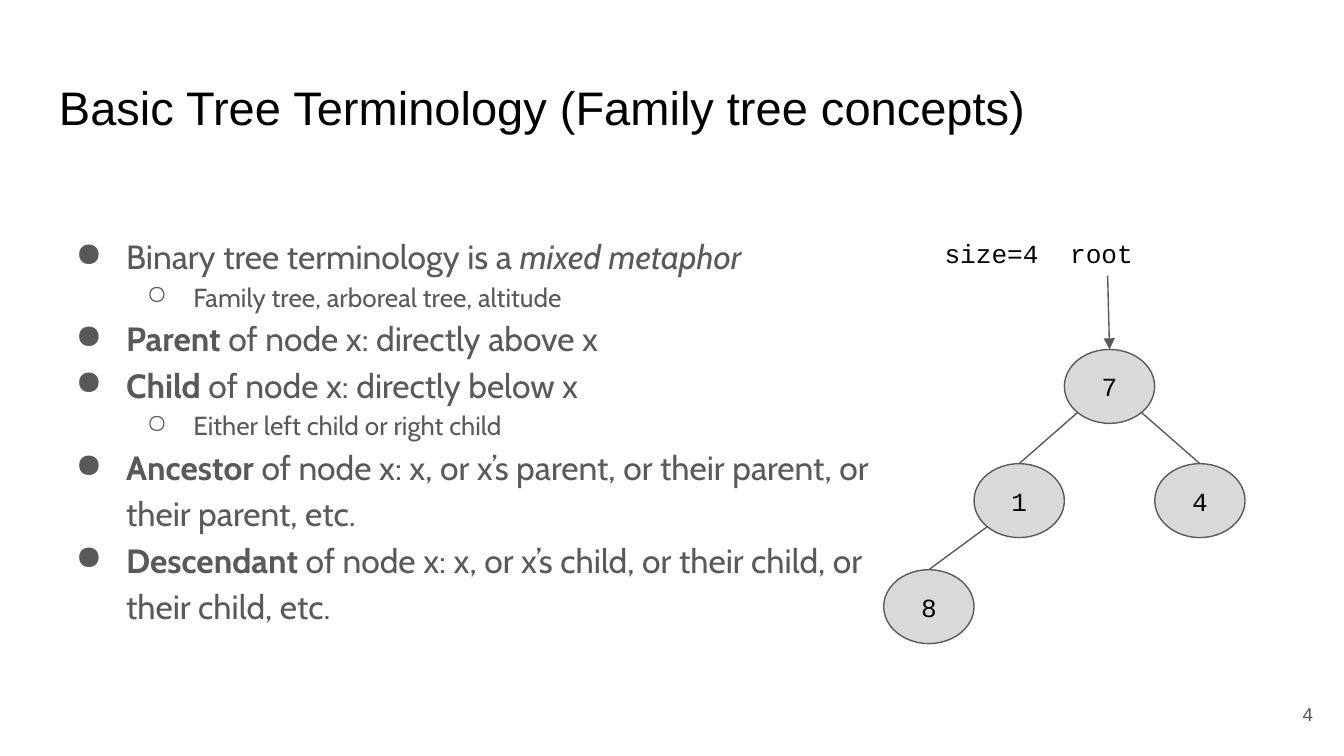
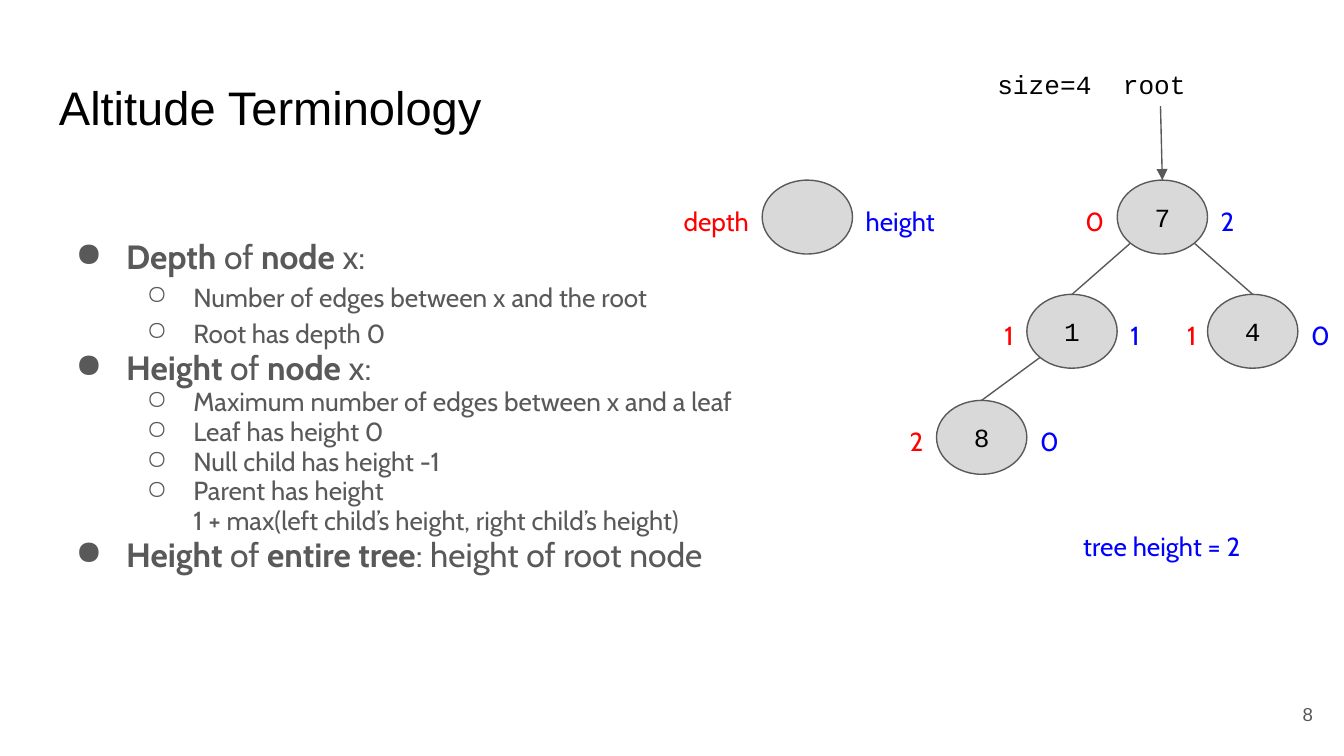
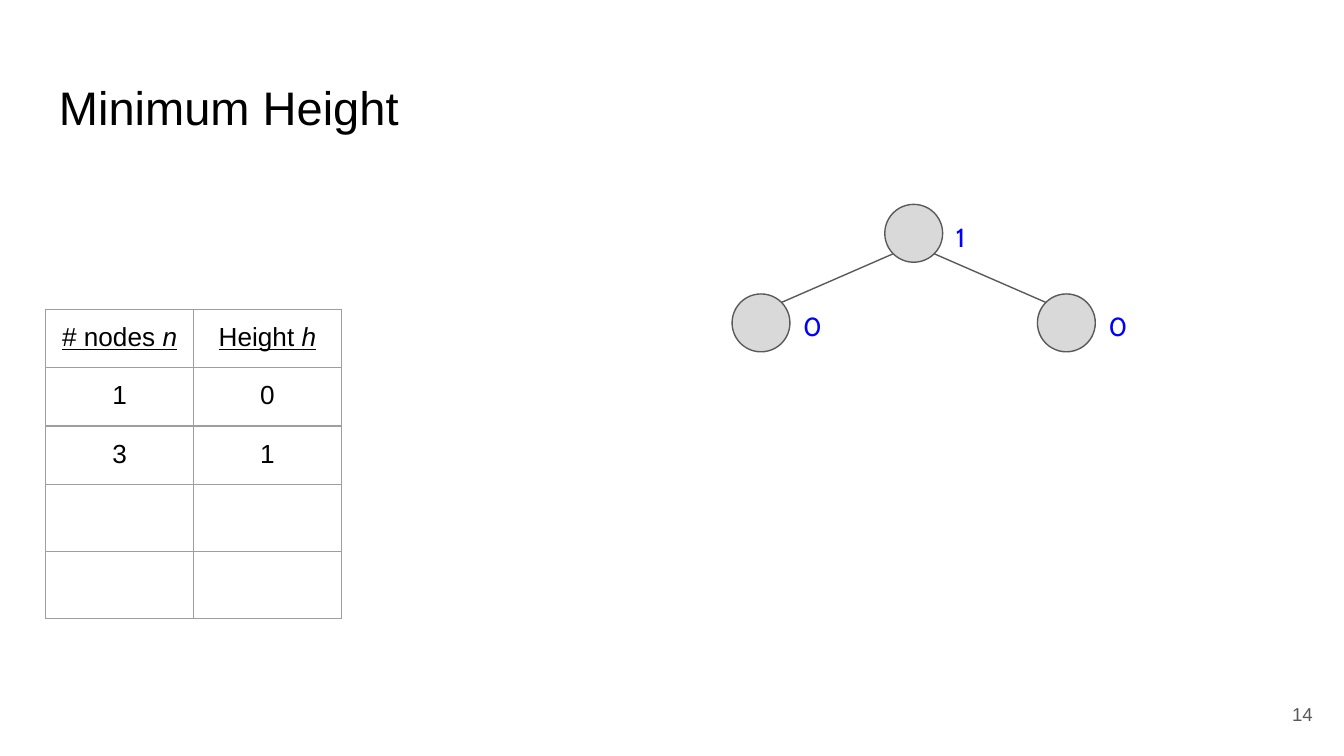
from dataclasses import dataclass
from math import sqrt

from lxml.etree import SubElement
from pptx import Presentation
from pptx.dml.color import RGBColor
from pptx.enum.shapes import MSO_CONNECTOR, MSO_SHAPE
from pptx.enum.text import MSO_ANCHOR, PP_ALIGN
from pptx.oxml import parse_xml
from pptx.oxml.ns import nsdecls, qn
from pptx.util import Pt


@dataclass(frozen=True)
class Theme:
    ink: str = "000000"
    gray: str = "595959"
    node: str = "D9D9D9"
    grid: str = "9E9E9E"
    depth: str = "FF0000"
    height: str = "0000FF"
    plain: str = "Arial"
    prose: str = "Cabin"
    code: str = "Courier New"
    title_size: float = 25.2
    body_size: float = 18
    small_size: float = 14
    number_size: float = 10
    rule: float = 0.75
    inset: float = 7.2


THEME = Theme()

# Content: a bullet is (level, spans); a span is text or (text, style)
FAMILY = [
    (0, ["Binary tree terminology is a ", ("mixed metaphor", "i")]),
    (1, ["Family tree, arboreal tree, altitude"]),
    (0, [("Parent", "b"), " of node x: directly above x"]),
    (0, [("Child", "b"), " of node x: directly below x"]),
    (1, ["Either left child or right child"]),
    (0, [("Ancestor", "b"), " of node x: x, or x’s parent, or their parent, or their parent, etc."]),
    (0, [("Descendant", "b"), " of node x: x, or x’s child, or their child, or their child, etc."]),
]
DEPTH = [
    (0, [("Depth", "b"), " of ", ("node", "b"), " x:"]),
    (1, ["Number of edges between x and the root"]),
    (1, ["Root has depth 0"]),
]
HEIGHT = [
    (0, [("Height", "b"), " of ", ("node", "b"), " x:"]),
    (1, ["Maximum number of edges between x and a leaf"]),
    (1, ["Leaf has height 0"]),
    (1, ["Null child has height -1"]),
    (1, ["Parent has height\n1 + max(left child’s height, right child’s height)"]),
    (0, [("Height", "b"), " of ", ("entire tree", "b"), ": height of root node"]),
]
HEIGHT_TABLE = [
    [["# nodes ", ("n", "i")], ["Height ", ("h", "i")]],
    [["1"], ["0"]],
    [["3"], ["1"]],
    [[], []],
    [[], []],
]

# Trees: node value -> (column, level, parent)
FOUR_NODES = {"7": (0, 0, None), "1": (-1, 1, "7"), "4": (1, 1, "7"), "8": (-2, 2, "1")}
LEVEL_TOPS = [0, 61.2, 118]
COLUMN_STEP = 48.4
NODE_SIZE = (48.4, 39.6)
# Node value -> (depth, depth label width, height, height label width)
ALTITUDES = {"7": ("0", 64.8, "2", 64.8), "1": ("1", 64.8, "1", 23),
             "4": ("1", 18, "0", 24.5), "8": ("2", 64.8, "0", 64.8)}
LABEL_HEIGHT = 27.4


def color(code):
    return RGBColor.from_string(code)


# Text
def write(para, spans, font=THEME.plain, size=THEME.small_size, ink=THEME.ink,
          align=PP_ALIGN.LEFT, underline=False):
    para.alignment = align
    for part in spans:
        text, style = part if isinstance(part, tuple) else (part, "")
        for index, line in enumerate(text.split("\n")):
            if index:
                para.add_line_break()
            span = para.add_run()
            span.text = line
            span.font.name, span.font.size = font, Pt(size)
            span.font.color.rgb = color(ink)
            span.font.bold, span.font.italic = "b" in style, "i" in style
            span.font.underline = underline


def set_frame(frame, anchor):
    frame.word_wrap = True
    frame.vertical_anchor = anchor
    frame.margin_left = frame.margin_right = Pt(THEME.inset)
    frame.margin_top = frame.margin_bottom = Pt(THEME.inset)


def add_text(page, place, spans, anchor=MSO_ANCHOR.TOP, **style):
    box = page.shapes.add_textbox(*map(Pt, place))
    set_frame(box.text_frame, anchor)
    write(box.text_frame.paragraphs[0], spans, **style)
    return box


def add_bullets(page, place, bullets, spacing):
    frame = add_text(page, place, []).text_frame
    for index, (level, spans) in enumerate(bullets):
        para = frame.add_paragraph() if index else frame.paragraphs[0]
        para.level = level
        para.line_spacing = spacing
        props = para._p.get_or_add_pPr()
        props.set("marL", str(Pt(36 * (level + 1))))
        props.set("indent", str(-Pt((27, 25)[level])))
        SubElement(SubElement(props, qn("a:buClr")), qn("a:srgbClr")).set("val", THEME.gray)
        SubElement(props, qn("a:buChar")).set("char", "●○"[level])
        write(para, spans, font=THEME.prose, ink=THEME.gray,
              size=(THEME.body_size, THEME.small_size)[level])


# Tree parts
def add_node(page, place, value=""):
    node = page.shapes.add_shape(MSO_SHAPE.OVAL, *map(Pt, place))
    node.shadow.inherit = False
    node.fill.solid()
    node.fill.fore_color.rgb = color(THEME.node)
    node.line.color.rgb = color(THEME.gray)
    node.line.width = Pt(THEME.rule)
    if value:
        set_frame(node.text_frame, MSO_ANCHOR.MIDDLE)
        write(node.text_frame.paragraphs[0], [value], font=THEME.code, align=PP_ALIGN.CENTER)


def add_edge(page, start, end, arrow=False):
    edge = page.shapes.add_connector(MSO_CONNECTOR.STRAIGHT, *map(Pt, start + end))
    edge.line.color.rgb = color(THEME.gray)
    edge.line.width = Pt(THEME.rule)
    if arrow:
        SubElement(edge.line._get_or_add_ln(), qn("a:tailEnd")).set("type", "triangle")
    SubElement(edge._element.spPr, qn("a:effectLst"))


def diagonal(place, right, down):
    """Point on the ellipse at 45 degrees; right and down are -1 or 1."""
    left, top, width, height = place
    reach = sqrt(0.5)
    return left + width * (1 + right * reach) / 2, top + height * (1 + down * reach) / 2


def add_side_label(page, place, text, width, kind):
    left, top, node_width, node_height = place
    is_depth = kind == "depth"
    label_left = left - width if is_depth else left + node_width
    add_text(page, (label_left, top + (node_height - LABEL_HEIGHT) / 2, width, LABEL_HEIGHT),
             [text], font=THEME.prose, ink=THEME.depth if is_depth else THEME.height,
             align=PP_ALIGN.RIGHT if is_depth else PP_ALIGN.LEFT)


def add_four_node_tree(page, left, top):
    places = {}
    for value, (column, level, parent) in FOUR_NODES.items():
        place = (left + column * COLUMN_STEP, top + LEVEL_TOPS[level], *NODE_SIZE)
        places[value] = place
        add_node(page, place, value)
        if parent:
            side = 1 if column > FOUR_NODES[parent][0] else -1
            add_edge(page, (place[0] + NODE_SIZE[0] / 2, place[1]),
                     diagonal(places[parent], side, 1))
    add_text(page, (left - 73.4, top - 67, 119.5, 34.6), ["size=4  root"],
             font=THEME.code, align=PP_ALIGN.CENTER)
    add_edge(page, (left + 23.2, top - 39.6), (left + NODE_SIZE[0] / 2, top), arrow=True)
    return places


# Table
def add_height_table(page, left, top, column_width, row_height):
    rows, columns = len(HEIGHT_TABLE), len(HEIGHT_TABLE[0])
    table = page.shapes.add_table(rows, columns, Pt(left), Pt(top), Pt(column_width * columns),
                                  Pt(row_height * rows)).table
    table.first_row = table.horz_banding = False
    for row_index, row in enumerate(HEIGHT_TABLE):
        table.rows[row_index].height = Pt(row_height)
        for column_index, spans in enumerate(row):
            cell = table.cell(row_index, column_index)
            cell.margin_left = cell.margin_right = Pt(THEME.inset)
            cell.margin_top = cell.margin_bottom = Pt(THEME.inset)
            cell.fill.background()
            write(cell.text_frame.paragraphs[0], spans, align=PP_ALIGN.CENTER,
                  underline=row_index == 0)
            props = cell._tc.get_or_add_tcPr()
            for index, side in enumerate("LRTB"):
                props.insert(index, parse_xml(
                    f'<a:ln{side} {nsdecls("a")} w="{Pt(THEME.rule)}"><a:solidFill>'
                    f'<a:srgbClr val="{THEME.grid}"/></a:solidFill></a:ln{side}>'))


# Pages
def add_page(deck, title, number):
    page = deck.slides.add_slide(deck.slide_layouts[6])
    add_text(page, (24.5, 35, 671, 45.4), [title], size=THEME.title_size)
    add_text(page, (667.2, 367.2, 43.2, 31), [number], anchor=MSO_ANCHOR.MIDDLE,
             size=THEME.number_size, ink=THEME.gray, align=PP_ALIGN.RIGHT)
    return page


def add_family_page(deck):
    page = add_page(deck, "Basic Tree Terminology (Family tree concepts)", "4")
    add_bullets(page, (24.5, 116, 448.5, 244), FAMILY, 1.15)
    add_four_node_tree(page, 570.2, 187.2)


def add_altitude_page(deck):
    page = add_page(deck, "Altitude Terminology", "8")
    add_bullets(page, (24.5, 116, 375, 81.4), DEPTH, 1.15)
    add_bullets(page, (24.5, 180, 375, 139.7), HEIGHT, 0.95)
    root_top = 96.5
    for value, place in add_four_node_tree(page, 598.5, root_top).items():
        depth, depth_width, height, height_width = ALTITUDES[value]
        add_side_label(page, place, depth, depth_width, "depth")
        add_side_label(page, place, height, height_width, "height")
    # Key
    key = (408.3, root_top, *NODE_SIZE)
    add_node(page, key)
    for kind in ("depth", "height"):
        add_side_label(page, key, kind, 64.8, kind)
    add_text(page, (548, 277.2, 149, LABEL_HEIGHT), ["tree height = 2"], font=THEME.prose,
             ink=THEME.height, align=PP_ALIGN.CENTER)


def add_minimum_page(deck):
    page = add_page(deck, "Minimum Height", "14")
    add_height_table(page, 24.5, 165.7, 79.2, 30)
    size, left, top = 31, 474, 109.5
    root = (left, top, size, size)
    add_node(page, root)
    add_side_label(page, root, "1", size, "height")
    for side in (-1, 1):
        child = (left + side * 81.8, top + 48, size, size)
        add_node(page, child)
        add_side_label(page, child, "0", size, "height")
        add_edge(page, diagonal(root, side, 1), diagonal(child, -side, -1))


def main():
    deck = Presentation()
    deck.slide_width, deck.slide_height = Pt(720), Pt(405)
    add_family_page(deck)
    add_altitude_page(deck)
    add_minimum_page(deck)
    deck.save("out.pptx")


if __name__ == "__main__":
    main()
